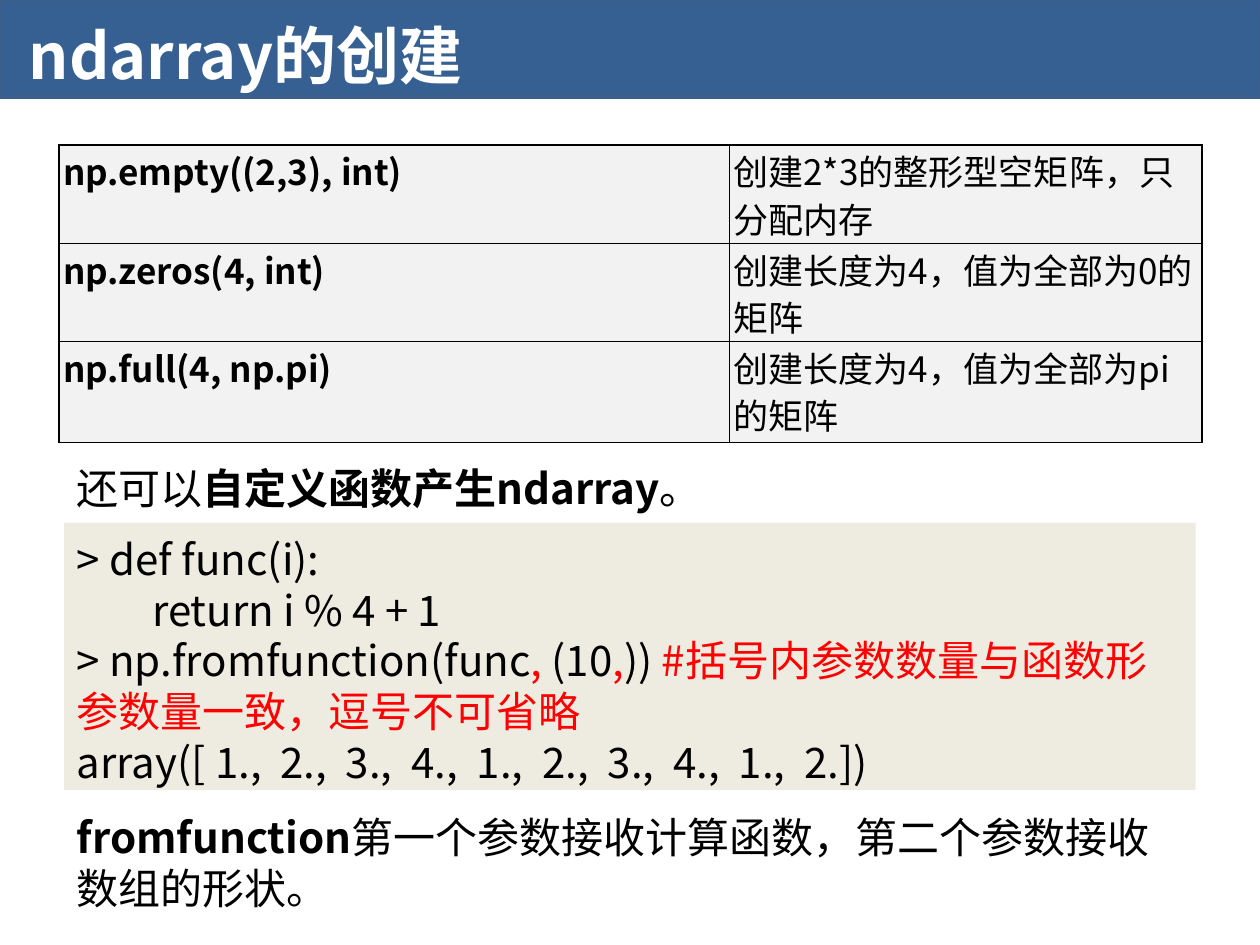
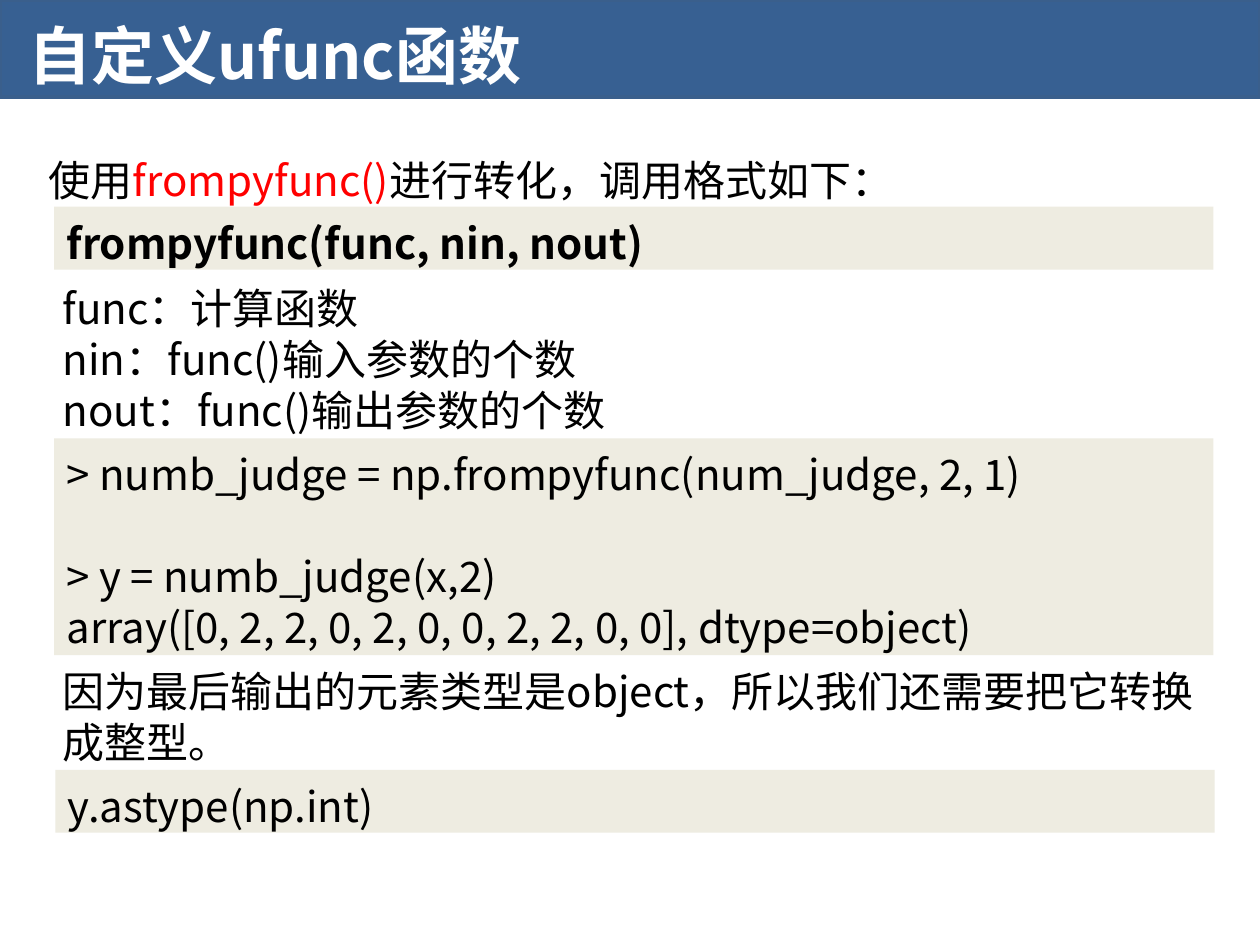
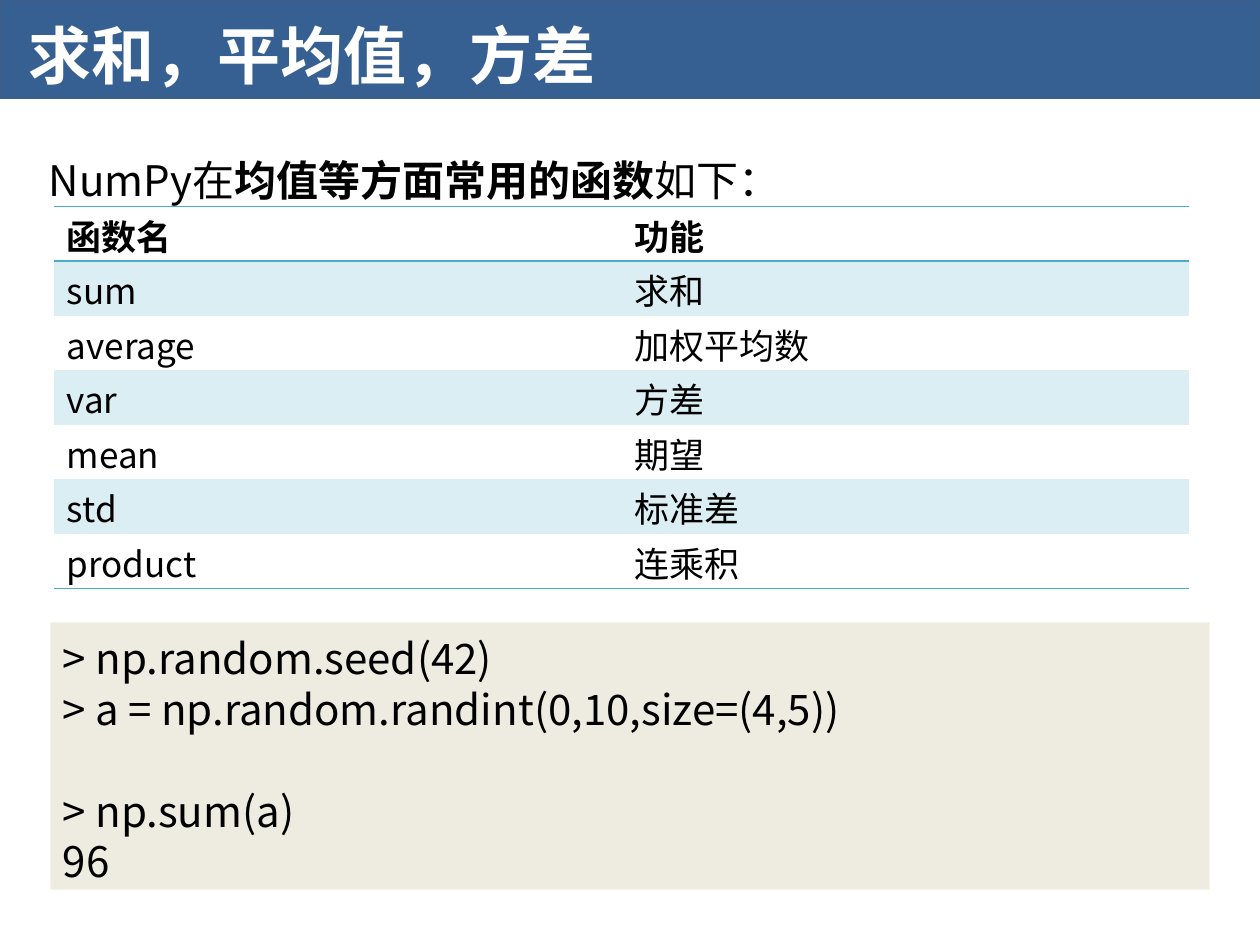
import pptx
import pptx.dml.color
import pptx.enum.shapes
import pptx.enum.text
import pptx.oxml.ns
import pptx.util
from lxml import etree

FONT = "Noto Sans CJK SC"
BLUE, BLUE_EDGE, SAND = "376092", "3A5F8C", "EEECE1"
BLACK, WHITE, RED = "000000", "FFFFFF", "FF0000"
PALE_GREY, TEAL, PALE_TEAL = "F2F2F2", "4BACC6", "DBEEF4"
COLUMNS, ROWS = 100, 75
TITLE_SIZE, BODY_SIZE, CELL_SIZE = 36, 24, 20
TITLE_LINE, BODY_LINE = 44, 29
EDGES = ("L", "R", "T", "B")


def grid(count):
    return pptx.util.Inches(count / 10)


def color(code):
    return pptx.dml.color.RGBColor.from_string(code)


def qn(name):
    return pptx.oxml.ns.qn(name)


def plain(text):
    return [(text, {})]


def bold(text):
    return (text, {"bold": True})


def red(text):
    return (text, {"code": RED})


def add_span(para, text, size, code=BLACK, bold=False):
    span = para.add_run()
    span.text = text
    font = span.font
    font.name, font.size, font.bold = FONT, pptx.util.Pt(size), bold
    font.color.rgb = color(code)
    etree.SubElement(span._r.get_or_add_rPr(), qn("a:ea"), typeface=FONT)


def write(frame, lines, size, spacing, gaps=(), indents=()):
    frame.word_wrap = True
    for index, spans in enumerate(lines):
        para = frame.paragraphs[0] if index == 0 else frame.add_paragraph()
        para.alignment = pptx.enum.text.PP_ALIGN.LEFT
        para.line_spacing = pptx.util.Pt(spacing)
        if index in gaps:
            para.space_before = pptx.util.Pt(spacing)
        if index in indents:
            para._p.get_or_add_pPr().set("marL", str(grid(6)))
        for text, style in spans:
            add_span(para, text, size, **style)


def set_insets(holder, left, top, bottom):
    holder.margin_left = holder.margin_right = grid(left)
    holder.margin_top, holder.margin_bottom = grid(top), grid(bottom)
    holder.vertical_anchor = pptx.enum.text.MSO_ANCHOR.TOP


def add_panel(page, place, fill, edge=None):
    panel = page.shapes.add_shape(
        pptx.enum.shapes.MSO_SHAPE.RECTANGLE, *map(grid, place))
    panel.shadow.inherit = False
    panel.fill.solid()
    panel.fill.fore_color.rgb = color(fill)
    if edge:
        panel.line.color.rgb = color(edge)
        panel.line.width = pptx.util.Pt(2)
    else:
        panel.line.fill.background()
    return panel


def fill_text(box, lines, size=BODY_SIZE, spacing=BODY_LINE, **layout):
    set_insets(box.text_frame, 1, 0.8, 0.2)
    write(box.text_frame, lines, size, spacing, **layout)


def add_text(page, place, lines, **layout):
    fill_text(page.shapes.add_textbox(*map(grid, place)), lines, **layout)


def add_code(page, place, lines, **layout):
    fill_text(add_panel(page, place, SAND), lines, **layout)


def add_page(deck, title):
    page = deck.slides.add_slide(deck.slide_layouts[6])
    add_panel(page, (0, 0, COLUMNS, 7.7), BLUE, BLUE_EDGE)
    add_text(page, (1.3, 0.4, 67.6, 7.1),
             [[(title, {"code": WHITE, "bold": True})]],
             size=TITLE_SIZE, spacing=TITLE_LINE)
    return page


def set_borders(cell, codes):
    props = cell._tc.get_or_add_tcPr()
    for index, edge in enumerate(EDGES):
        line = etree.Element(qn("a:ln" + edge), w=str(pptx.util.Pt(1)))
        if edge in codes:
            paint = etree.SubElement(line, qn("a:solidFill"))
            etree.SubElement(paint, qn("a:srgbClr"), val=codes[edge])
        else:
            etree.SubElement(line, qn("a:noFill"))
        props.insert(index, line)


def add_grid_table(page, place, widths, heights, texts, insets, spacing,
                   is_bold, row_fill, row_borders):
    table = page.shapes.add_table(
        len(heights), len(widths), *map(grid, place)).table
    table.first_row = table.horz_banding = False
    for column, width in zip(table.columns, widths):
        column.width = grid(width)
    for row, height in zip(table.rows, heights):
        row.height = grid(height)
    for row, row_texts in enumerate(texts):
        for column, text in enumerate(row_texts):
            cell = table.cell(row, column)
            set_insets(cell, *insets)
            write(cell.text_frame, [[(text, {"bold": is_bold(row, column)})]],
                  CELL_SIZE, spacing)
            fill = row_fill(row)
            if fill:
                cell.fill.solid()
                cell.fill.fore_color.rgb = color(fill)
            else:
                cell.fill.background()
            set_borders(cell, row_borders(row))


def build_creation(deck):
    page = add_page(deck, "ndarray的创建")
    left, width = 5.1, 89.8
    constructors = [
        ("np.empty((2,3), int)", "创建2*3的整形型空矩阵，只分配内存"),
        ("np.zeros(4, int)", "创建长度为4，值为全部为0的矩阵"),
        ("np.full(4, np.pi)", "创建长度为4，值为全部为pi的矩阵"),
    ]
    add_grid_table(page, (4.7, 11.5, 90.7, 23.6), (53.2, 37.5),
                   (7.8, 7.8, 8), constructors, (0.3, 0.3, 0), 27,
                   lambda row, column: column == 0,
                   lambda row: PALE_GREY,
                   lambda row: dict.fromkeys(EDGES, BLACK))
    add_code(page, (left, 41.5, width, 21.2), [
        plain("> def func(i):"),
        plain("return i % 4 + 1"),
        [("> np.fromfunction(func", {}), red(","), (" (10", {}), red(","),
         (")) ", {}), red("#括号内参数数量与函数形参数量一致，逗号不可省略")],
        plain("array([ 1.,  2.,  3.,  4.,  1.,  2.,  3.,  4.,  1.,  2.])"),
    ], indents=(1,))
    add_text(page, (left, 35.9, width, 5), [
        [("还可以", {}), bold("自定义函数产生ndarray"), ("。", {})]])
    add_text(page, (left, 63.6, width, 9.1), [
        [bold("fromfunction"),
         ("第一个参数接收计算函数，第二个参数接收数组的形状。", {})]])


def build_ufunc(deck):
    page = add_page(deck, "自定义ufunc函数")
    width = 92
    add_text(page, (2.9, 11.4, width, 5), [
        [("使用", {}), red("frompyfunc()"), ("进行转化，调用格式如下：", {})]])
    add_code(page, (4.3, 34.8, width, 17.2), [
        plain("> numb_judge = np.frompyfunc(num_judge, 2, 1)"),
        plain("> y = numb_judge(x,2)"),
        plain("array([0, 2, 2, 0, 2, 0, 0, 2, 2, 0, 0], dtype=object)"),
    ], gaps=(1,))
    add_code(page, (4.3, 16.4, width, 5),
             [[bold("frompyfunc(func, nin, nout)")]])
    add_text(page, (4, 21.6, width, 13.1), [
        plain("func：计算函数"),
        plain("nin：func()输入参数的个数"),
        plain("nout：func()输出参数的个数"),
    ])
    add_text(page, (4, 52, width, 9.1), [
        plain("因为最后输出的元素类型是object，所以我们还需要把它转换成整型。")])
    add_code(page, (4.4, 61.1, width, 5), [plain("y.astype(np.int)")])


def build_statistics(deck):
    page = add_page(deck, "求和，平均值，方差")
    width = 92
    add_text(page, (2.9, 11.4, width, 5), [
        [("NumPy在", {}), bold("均值等方面常用的函数"), ("如下：", {})]])
    add_code(page, (4, 49.4, width, 21.2), [
        plain("> np.random.seed(42)"),
        plain("> a = np.random.randint(0,10,size=(4,5))"),
        plain("> np.sum(a)"),
        plain("96"),
    ], gaps=(2,))
    functions = [
        ("函数名", "功能"),
        ("sum", "求和"),
        ("average", "加权平均数"),
        ("var", "方差"),
        ("mean", "期望"),
        ("std", "标准差"),
        ("product", "连乘积"),
    ]
    count = len(functions)
    rules = {0: {"T": TEAL, "B": TEAL}, 1: {"T": TEAL},
             count - 1: {"B": TEAL}}
    add_grid_table(page, (4.3, 16.4, 90.1, 30.3), [90.1 / 2] * 2,
                   [30.3 / count] * count, functions, (1, 1, 0), 23.5,
                   lambda row, column: row == 0,
                   lambda row: PALE_TEAL if row % 2 else None,
                   lambda row: rules.get(row, {}))


def main():
    deck = pptx.Presentation()
    deck.slide_width, deck.slide_height = grid(COLUMNS), grid(ROWS)
    build_creation(deck)
    build_ufunc(deck)
    build_statistics(deck)
    deck.save("out.pptx")


if __name__ == "__main__":
    main()
